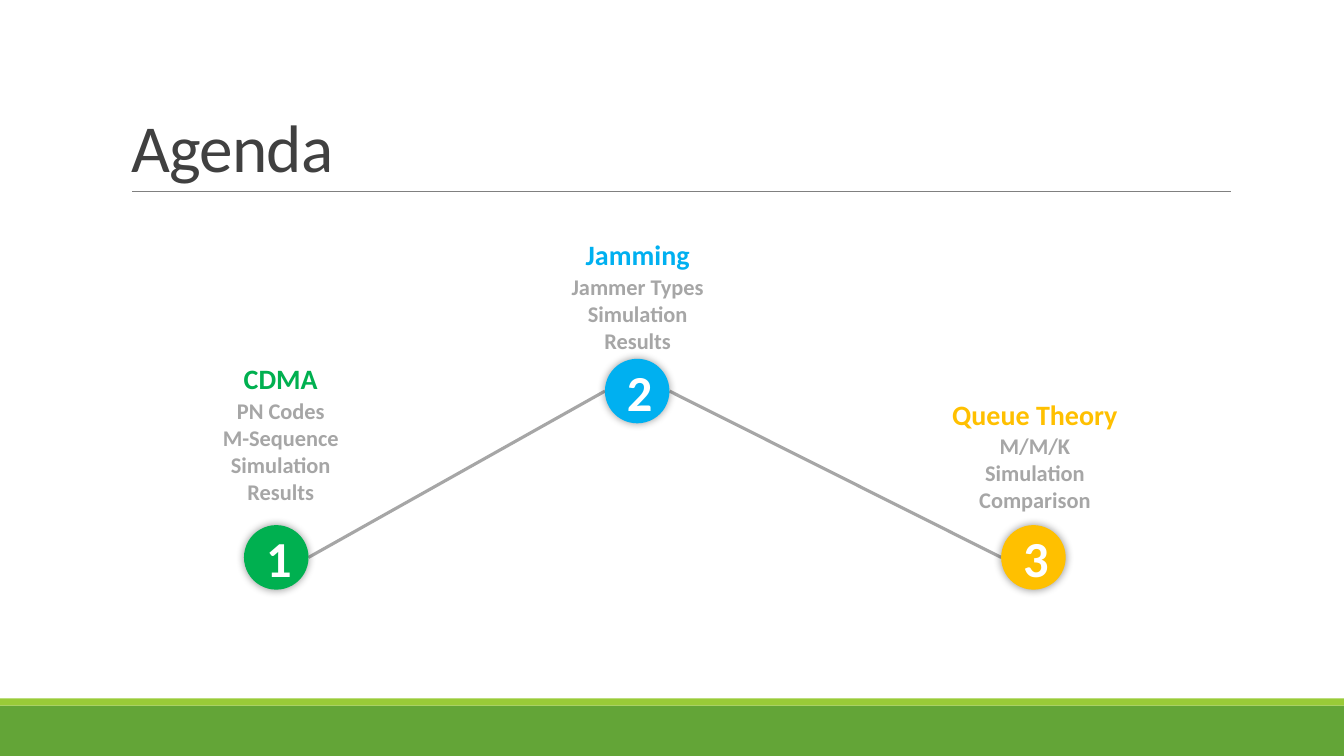
from lxml.etree import SubElement
from pptx import Presentation
from pptx.dml.color import RGBColor
from pptx.enum.shapes import MSO_CONNECTOR, MSO_SHAPE
from pptx.enum.text import MSO_ANCHOR, MSO_AUTO_SIZE, PP_ALIGN
from pptx.oxml.ns import qn
from pptx.util import Emu, Pt

PX = 9144  # EMU per px, 100 px to the inch
FONT = "Calibri"
COLORS = {
    "band": "63A537", "stripe": "99CB38", "rule": "808080", "title": "404040",
    "gray": "A6A6A6", "white": "FFFFFF", "shadow": "000000",
    "green": "00B050", "blue": "00B0F0", "amber": "FFC000",
}
DIAMETER = 64
LABEL_WIDTH = 233
HEADING_HEIGHT = 44
DETAILS_OFFSET = 35

# number, color, circle (left, top), label (left, top), heading, details
STEPS = [
    ("1", "green", (242, 521), (162, 354), "CDMA",
     ["PN Codes", "M-Sequence", "Simulation", "Results"]),
    ("2", "blue", (600, 356), (516, 231), "Jamming",
     ["Jammer Types", "Simulation", "Results"]),
    ("3", "amber", (993, 521), (910, 389), "Queue Theory",
     ["M/M/K", "Simulation", "Comparison"]),
]


def px(*lengths):
    return [Emu(length * PX) for length in lengths]


def rgb(name):
    return RGBColor.from_string(COLORS[name])


def add_glow_shadow(properties):
    """Add a soft, centred shadow to shape or run properties."""
    effects = SubElement(properties, qn("a:effectLst"))
    shadow = SubElement(effects, qn("a:outerShdw"), blurRad=str(Pt(6)),
                        dist="0", dir="0", algn="ctr", rotWithShape="0")
    color = SubElement(shadow, qn("a:srgbClr"), val=COLORS["shadow"])
    SubElement(color, qn("a:alpha"), val="40000")


def write_text(shape, lines, *, size, color, bold=True, align=PP_ALIGN.CENTER,
               anchor=MSO_ANCHOR.TOP, line_spacing=None, tracking=None,
               shadow=False):
    frame = shape.text_frame
    frame.word_wrap = True
    frame.auto_size = MSO_AUTO_SIZE.NONE
    frame.vertical_anchor = anchor
    frame.text = "\n".join(lines)
    for paragraph in frame.paragraphs:
        paragraph.alignment = align
        paragraph.line_spacing = line_spacing
        run = paragraph.runs[0]
        font = run.font
        font.name, font.size, font.bold = FONT, Pt(size), bold
        font.color.rgb = rgb(color)
        properties = run._r.get_or_add_rPr()
        if tracking is not None:
            properties.set("spc", str(tracking))
        if shadow:
            add_glow_shadow(properties)
            # Effects come before the typeface in run properties
            properties.append(properties.find(qn("a:latin")))


def add_filled(shapes, kind, box, color):
    shape = shapes.add_shape(kind, *px(*box))
    shape.fill.solid()
    shape.fill.fore_color.rgb = rgb(color)
    shape.line.fill.background()
    return shape


def add_line(slide, start, end, color, width):
    line = slide.shapes.add_connector(MSO_CONNECTOR.STRAIGHT, *px(*start, *end))
    line.line.color.rgb = rgb(color)
    line.line.width = Pt(width)
    SubElement(line._element.spPr, qn("a:effectLst"))


def add_footer(slide, left, top, width, height):
    stripe = 7
    for box, color in (
        ((left, top + stripe, width, height - stripe), "band"),
        ((left, top, width, stripe), "stripe"),
    ):
        bar = add_filled(slide.shapes, MSO_SHAPE.RECTANGLE, box, color)
        bar.shadow.inherit = False


def add_header(slide, left, top, width, height):
    title = slide.shapes.title
    title.left, title.top, title.width, title.height = px(left, top, width, height)
    write_text(title, ["Agenda"], size=48, color="title", bold=False,
               align=PP_ALIGN.LEFT, anchor=MSO_ANCHOR.BOTTOM,
               line_spacing=0.85, tracking=-50)
    bottom = top + height
    add_line(slide, (left + 11, bottom), (left + width + 1, bottom), "rule", 0.5)


def add_links(slide, circles):
    """Join each circle's right side to the next circle's left side."""
    radius = DIAMETER // 2
    for (left, top), (next_left, next_top) in zip(circles, circles[1:]):
        add_line(slide, (left + DIAMETER, top + radius),
                 (next_left, next_top + radius), "gray", 2.25)


def add_circle(slide, left, top, number, color):
    circle = add_filled(slide.shapes, MSO_SHAPE.OVAL,
                        (left, top, DIAMETER, DIAMETER), color)
    add_glow_shadow(circle._element.spPr)
    digit = slide.shapes.add_textbox(*px(left + 12, top - 3, 42, 71))
    write_text(digit, [number], size=36, color="white", shadow=True)


def add_label(slide, left, top, heading, details, color):
    group = slide.shapes.add_group_shape()
    heading_box = group.shapes.add_textbox(
        *px(left, top, LABEL_WIDTH, HEADING_HEIGHT))
    write_text(heading_box, [heading], size=20, color=color)
    details_box = group.shapes.add_textbox(
        *px(left, top + DETAILS_OFFSET, LABEL_WIDTH, 10 + 27 * len(details)))
    write_text(details_box, details, size=16, color="gray")


def main():
    presentation = Presentation()
    presentation.slide_width, presentation.slide_height = px(1333, 750)
    slide = presentation.slides.add_slide(presentation.slide_layouts[5])

    # Frame of the slide
    add_footer(slide, 0, 693, 1333, 57)
    add_header(slide, 120, 31, 1100, 159)

    # Agenda path
    add_links(slide, [step[2] for step in STEPS])
    for number, color, circle, label, heading, details in STEPS:
        add_circle(slide, *circle, number, color)
        add_label(slide, *label, heading, details, color)

    presentation.save("out.pptx")


if __name__ == "__main__":
    main()
